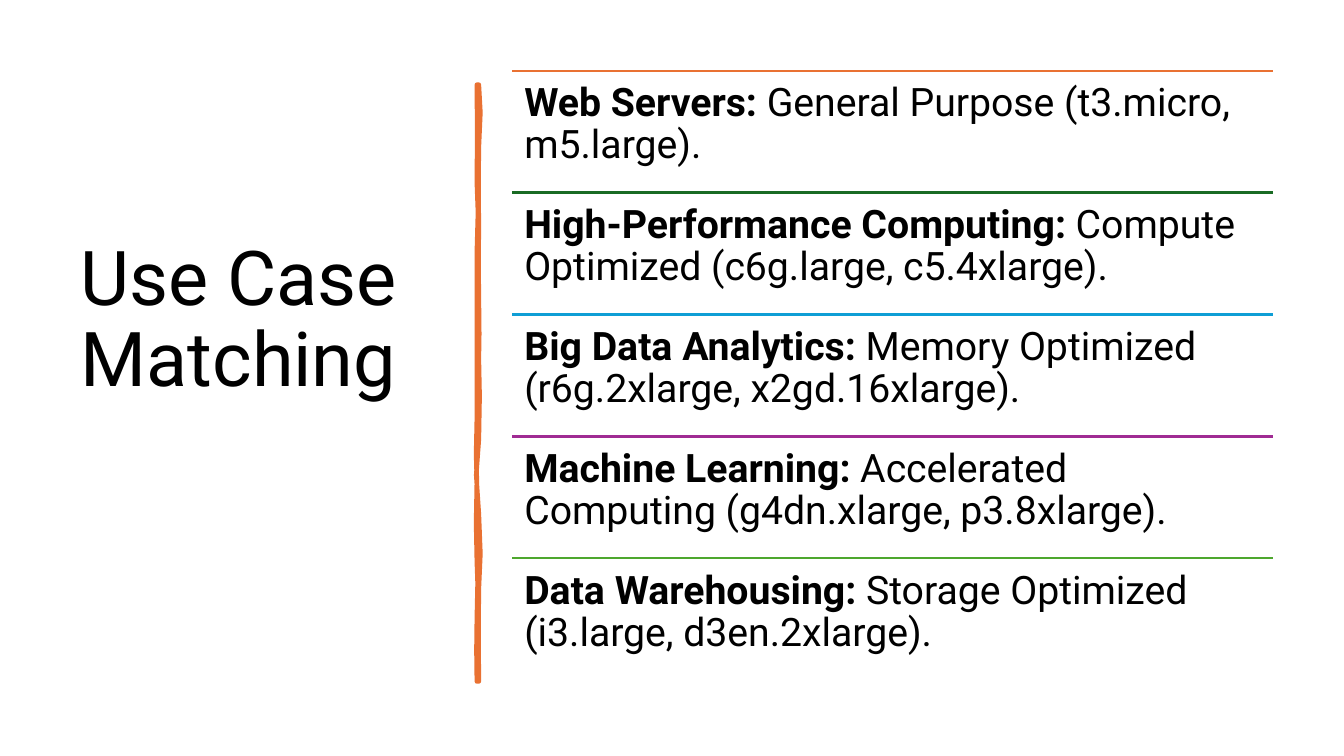
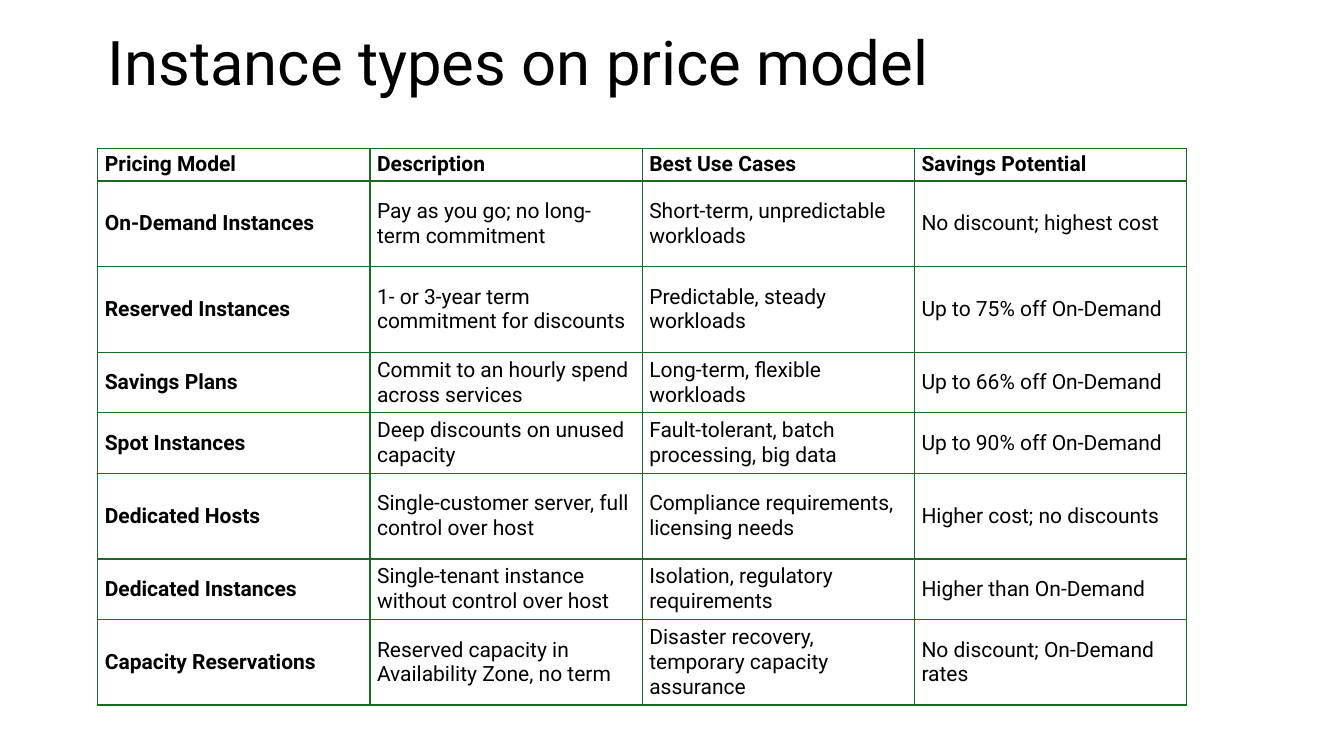
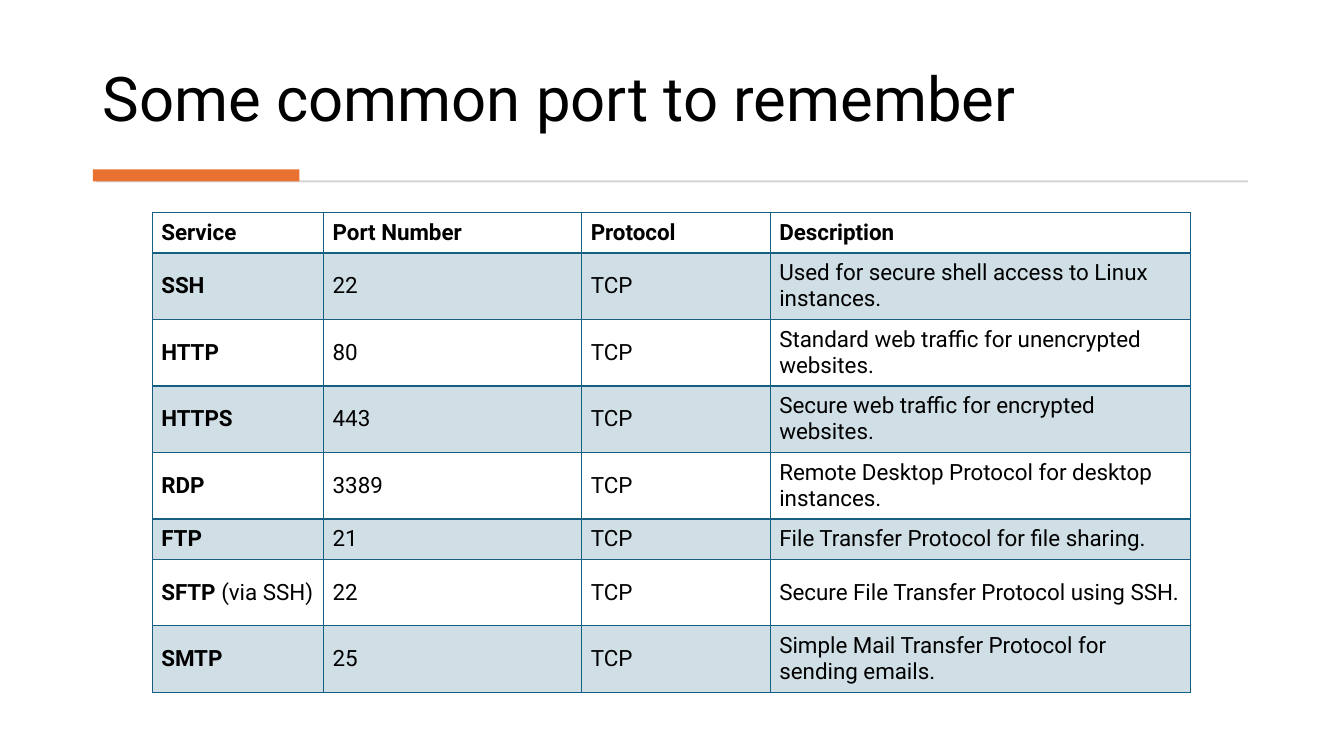
import dataclasses

import pptx
import pptx.dml.color
import pptx.enum.shapes
import pptx.enum.text
import pptx.oxml
import pptx.oxml.ns
import pptx.util

PX = 9144  # EMU in one px, 100 px to the inch
MIDDLE = pptx.enum.text.MSO_ANCHOR.MIDDLE
BOTTOM = pptx.enum.text.MSO_ANCHOR.BOTTOM
TITLE_ONLY = 5


@dataclasses.dataclass(frozen=True)
class Theme:
    font: str = "Roboto"
    text: str = "000000"
    accent: str = "E97132"
    green: str = "196B24"
    blue: str = "156082"
    rule: str = "D5D5D5"
    use_cases: tuple = ("E97132", "196B24", "0F9ED5", "A02B93", "4EA72E")
    big_title: int = 54
    title: int = 44
    list: int = 28
    price_table: int = 15
    port_table: int = 16
    line_spacing: float = 0.9


THEME = Theme()

USE_CASES = [
    ("Web Servers: ", "General Purpose (t3.micro, m5.large)."),
    ("High-Performance Computing: ", "Compute Optimized (c6g.large, c5.4xlarge)."),
    ("Big Data Analytics: ", "Memory Optimized (r6g.2xlarge, x2gd.16xlarge)."),
    ("Machine Learning: ", "Accelerated Computing (g4dn.xlarge, p3.8xlarge)."),
    ("Data Warehousing: ", "Storage Optimized (i3.large, d3en.2xlarge)."),
]

PRICES = [
    ("Pricing Model", "Description", "Best Use Cases", "Savings Potential"),
    ("On-Demand Instances", "Pay as you go; no long-term commitment",
     "Short-term, unpredictable workloads", "No discount; highest cost"),
    ("Reserved Instances", "1- or 3-year term commitment for discounts",
     "Predictable, steady workloads", "Up to 75% off On-Demand"),
    ("Savings Plans", "Commit to an hourly spend across services",
     "Long-term, flexible workloads", "Up to 66% off On-Demand"),
    ("Spot Instances", "Deep discounts on unused capacity",
     "Fault-tolerant, batch processing, big data", "Up to 90% off On-Demand"),
    ("Dedicated Hosts", "Single-customer server, full control over host",
     "Compliance requirements, licensing needs", "Higher cost; no discounts"),
    ("Dedicated Instances", "Single-tenant instance without control over host",
     "Isolation, regulatory requirements", "Higher than On-Demand"),
    ("Capacity Reservations", "Reserved capacity in Availability Zone, no term",
     "Disaster recovery, temporary capacity assurance",
     "No discount; On-Demand rates"),
]

PORTS = [
    ("Service", "Port Number", "Protocol", "Description"),
    ("SSH", "22", "TCP", "Used for secure shell access to Linux instances."),
    ("HTTP", "80", "TCP", "Standard web traffic for unencrypted websites."),
    ("HTTPS", "443", "TCP", "Secure web traffic for encrypted websites."),
    ("RDP", "3389", "TCP", "Remote Desktop Protocol for desktop instances."),
    ("FTP", "21", "TCP", "File Transfer Protocol for file sharing."),
    (("SFTP", " (via SSH)"), "22", "TCP", "Secure File Transfer Protocol using SSH."),
    ("SMTP", "25", "TCP", "Simple Mail Transfer Protocol for sending emails."),
]

# Cubic curves of the hand-drawn bar: two control points and an end point each.
BAR_START = (475, 84)
BAR_CURVES = [
    ((477, 102), (477, 119), (475, 146)),
    ((473, 173), (476, 195), (475, 226)),
    ((474, 257), (475, 262), (475, 294)),
    ((474, 325), (477, 342), (475, 356)),
    ((473, 370), (479, 414), (475, 436)),
    ((471, 457), (472, 484), (475, 510)),
    ((477, 536), (477, 564), (475, 584)),
    ((473, 603), (476, 650), (475, 676)),
    ((474, 676), (473, 676), (473, 676)),
    ((474, 646), (471, 644), (473, 613)),
    ((474, 583), (474, 570), (473, 557)),
    ((472, 544), (472, 495), (473, 477)),
    ((473, 459), (471, 445), (473, 415)),
    ((474, 386), (472, 373), (473, 335)),
    ((474, 298), (472, 281), (473, 250)),
    ((474, 218), (475, 200), (473, 181)),
    ((470, 163), (477, 104), (473, 84)),
]


def px(*lengths):
    return [pptx.util.Emu(round(length * PX)) for length in lengths]


def rgb(color):
    return pptx.dml.color.RGBColor.from_string(color)


def apply(target, formats):
    for name, value in formats.items():
        setattr(target, name, value)


def write(para, spans, size):
    """Fill a paragraph with (text, bold) spans."""
    for text, bold in spans:
        span = para.add_run()
        span.text = text
        apply(span.font, {"name": THEME.font, "size": pptx.util.Pt(size), "bold": bold})
        span.font.color.rgb = rgb(THEME.text)


def add_page(deck, title, place, size=THEME.title, anchor=MIDDLE):
    page = deck.slides.add_slide(deck.slide_layouts[TITLE_ONLY])
    box = page.shapes.title
    apply(box, dict(zip(("left", "top", "width", "height"), px(*place))))
    apply(box.text_frame, {"vertical_anchor": anchor, "word_wrap": True,
                           "auto_size": pptx.enum.text.MSO_AUTO_SIZE.NONE})
    para = box.text_frame.paragraphs[0]
    apply(para, {"alignment": pptx.enum.text.PP_ALIGN.LEFT,
                 "line_spacing": THEME.line_spacing})
    write(para, [(title, False)], size)
    return page


def add_bar(page, place, color):
    bar = page.shapes.add_shape(pptx.enum.shapes.MSO_SHAPE.RECTANGLE, *px(*place))
    bar.shadow.inherit = False
    bar.fill.solid()
    bar.fill.fore_color.rgb = rgb(color)
    bar.line.fill.background()


def add_rule(page, left, right, y, color):
    rule = page.shapes.add_connector(
        pptx.enum.shapes.MSO_CONNECTOR.STRAIGHT, *px(left, y, right, y))
    rule.line.color.rgb = rgb(color)
    rule.line.width = pptx.util.Pt(1.5)
    rule._element.spPr.append(pptx.oxml.parse_xml(
        f"<a:effectLst {pptx.oxml.ns.nsdecls('a')}/>"))


def add_list_item(page, place, spans):
    box = page.shapes.add_textbox(*px(*place))
    inset = px(12)[0]
    apply(box.text_frame, {"word_wrap": True, "margin_left": inset, "margin_top": inset,
                           "margin_right": inset, "margin_bottom": inset})
    para = box.text_frame.paragraphs[0]
    para.line_spacing = THEME.line_spacing
    write(para, spans, THEME.list)


def sample_curves(start, curves, steps=2):
    """Return points along a chain of cubic Bezier curves."""
    points = []
    for curve in curves:
        for step in range(1, steps + 1):
            t = step / steps
            weights = ((1 - t) ** 3, 3 * t * (1 - t) ** 2, 3 * t * t * (1 - t), t ** 3)
            points.append(tuple(
                sum(weight * knot[axis] for weight, knot in zip(weights, (start, *curve)))
                for axis in (0, 1)))
        start = curve[-1]
    return points


def add_hand_drawn_bar(page):
    builder = page.shapes.build_freeform(*px(*BAR_START), scale=1.0)
    builder.add_line_segments(
        [px(*point) for point in sample_curves(BAR_START, BAR_CURVES)], close=True)
    bar = builder.convert_to_shape()
    bar.shadow.inherit = False
    bar.fill.solid()
    bar.fill.fore_color.rgb = rgb(THEME.accent)
    bar.line.color.rgb = rgb(THEME.accent)
    bar.line.width = pptx.util.Pt(3.25)


def set_borders(cell, color, widths):
    """Draw the left, right, top and bottom borders; widths are in points."""
    properties = cell._tc.get_or_add_tcPr()
    for side, width in zip("LRTB", widths):
        properties.append(pptx.oxml.parse_xml(
            f"<a:ln{side} {pptx.oxml.ns.nsdecls('a')} w='{pptx.util.Pt(width)}'>"
            f"<a:solidFill><a:srgbClr val='{color}'/></a:solidFill></a:ln{side}>"))


def set_tint(cell, color, percent):
    cell.fill.solid()
    cell.fill.fore_color.rgb = rgb(color)
    swatch = cell._tc.tcPr.find(pptx.oxml.ns.qn("a:solidFill"))[0]
    swatch.append(pptx.oxml.parse_xml(
        f"<a:alpha {pptx.oxml.ns.nsdecls('a')} val='{percent * 1000}'/>"))


def add_table(page, corner, columns, heights, rows, size, color, insets,
              header_line=1, banded=False):
    place = px(*corner, sum(columns), sum(heights))
    table = page.shapes.add_table(len(rows), len(columns), *place).table
    apply(table, {"first_row": False, "horz_banding": False})
    for column, width in zip(table.columns, px(*columns)):
        column.width = width
    for row, height in zip(table.rows, px(*heights)):
        row.height = height
    left, right, edge = px(*insets, 4)
    formats = {"vertical_anchor": MIDDLE, "margin_left": left, "margin_right": right,
               "margin_top": edge, "margin_bottom": edge}
    for y, row in enumerate(rows):
        for x, content in enumerate(row):
            cell = table.cell(y, x)
            apply(cell, formats)
            if isinstance(content, tuple):
                spans = zip(content, (True, False))
            else:
                spans = [(content, y == 0 or x == 0)]
            write(cell.text_frame.paragraphs[0], spans, size)
            top = header_line if y == 1 else 1
            bottom = header_line if y == 0 else 1
            set_borders(cell, color, (1, 1, top, bottom))
            if banded and y % 2:
                set_tint(cell, color, 20)
            else:
                cell.fill.background()


def add_use_case_page(deck):
    page = add_page(deck, "Use Case Matching", (70, 70, 343, 498), THEME.big_title)
    add_hand_drawn_bar(page)
    left, top, width, pitch = 508, 70, 755, 121
    for index, (label, advice) in enumerate(USE_CASES):
        y = top + index * pitch
        add_rule(page, left, left + width, y, THEME.use_cases[index])
        add_list_item(page, (left, y, width, pitch), [(label, True), (advice, False)])


def add_price_page(deck):
    page = add_page(deck, "Instance types on price model", (97, 27, 1150, 77))
    add_table(page, (97, 147), [270] * 4, [32, 85, 85, 60, 60, 85, 60, 85],
              PRICES, THEME.price_table, THEME.green, insets=(7, 9))


def add_port_page(deck):
    page = add_page(deck, "Some common port to remember", (92, 28, 1149, 111),
                    anchor=BOTTOM)
    add_bar(page, (95, 179, 1143, 2), THEME.rule)
    add_bar(page, (92, 168, 205, 12), THEME.accent)
    add_table(page, (151, 211), [170, 256, 187, 417], [40, 66, 66, 66, 66, 40, 66, 66],
              PORTS, THEME.port_table, THEME.blue, insets=(9, 9),
              header_line=2, banded=True)


def main():
    deck = pptx.Presentation()
    deck.slide_width, deck.slide_height = px(1333, 750)
    add_use_case_page(deck)
    add_price_page(deck)
    add_port_page(deck)
    deck.save("out.pptx")


if __name__ == "__main__":
    main()
